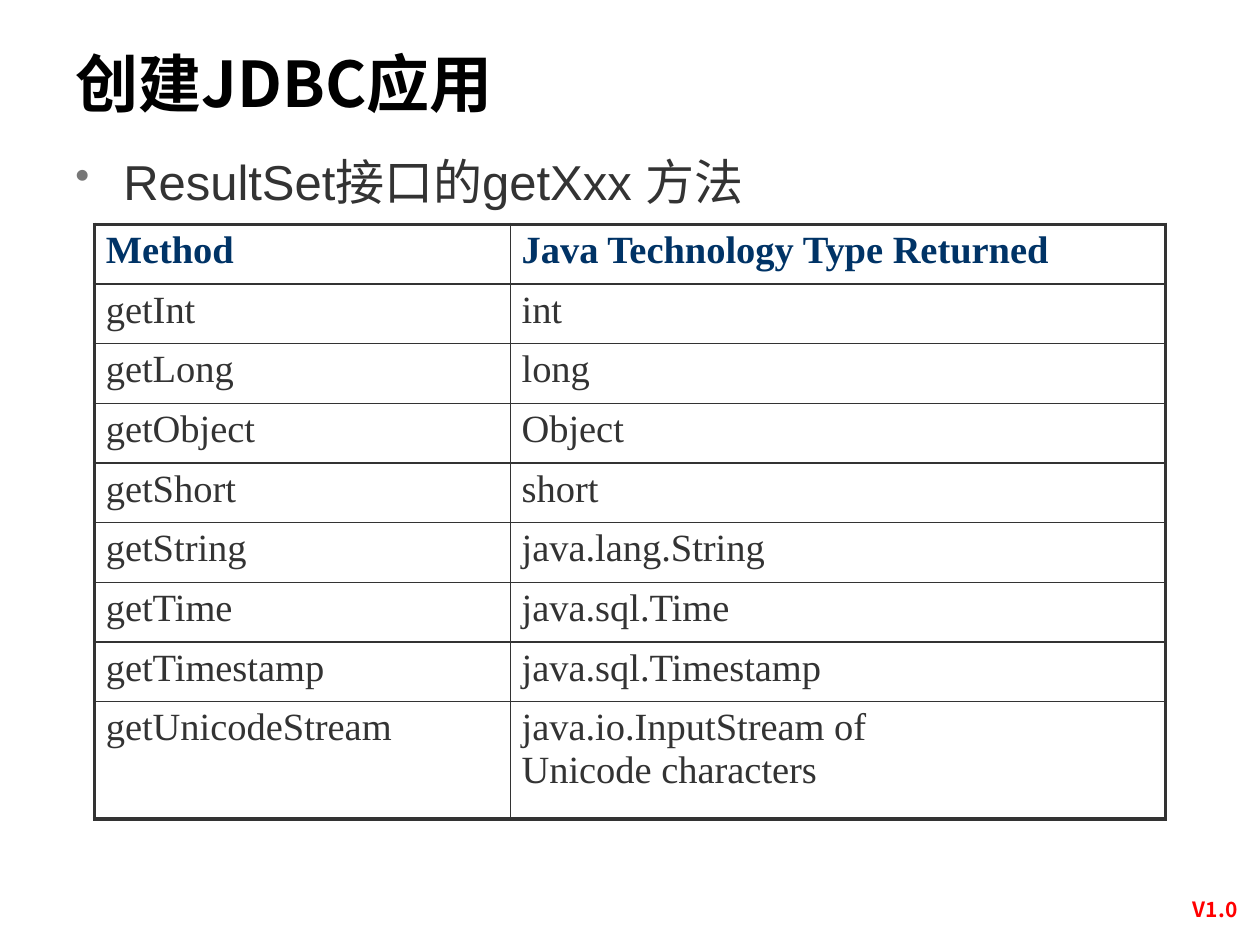
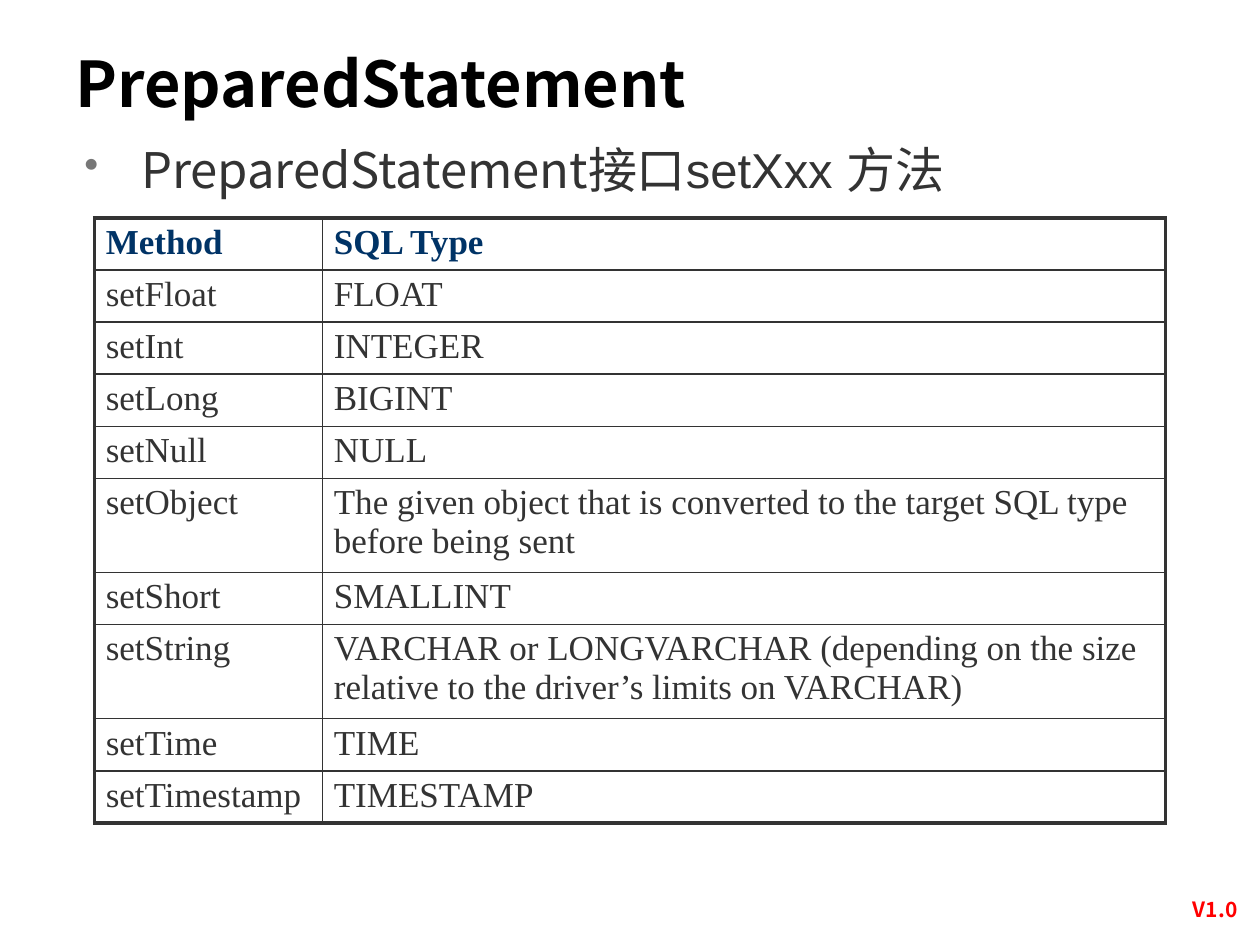
from dataclasses import dataclass

from lxml import etree
from pptx import Presentation
from pptx.dml.color import RGBColor
from pptx.enum.text import MSO_ANCHOR, PP_ALIGN
from pptx.oxml.ns import qn
from pptx.util import Inches, Pt

TOP, LEFT, CENTER = MSO_ANCHOR.TOP, PP_ALIGN.LEFT, PP_ALIGN.CENTER
TITLE_ONLY = 5


@dataclass(frozen=True)
class Theme:
    sans: str = "Noto Sans CJK SC"
    latin: str = "Arial"
    serif: str = "Times New Roman"
    title: str = "000000"
    body: str = "333333"
    bullet: str = "777777"
    header: str = "003366"
    version: str = "FF0000"
    title_size: int = 36
    body_size: int = 28
    version_size: int = 12
    outer_border: float = 2.25
    inner_border: float = 1


THEME = Theme()
VERSION = "V1.0"

# row_heights maps a row's number of text lines to its least height.
SLIDES = [
    {
        "title": "创建JDBC应用",
        "point": [("ResultSet接口的getXxx 方法", THEME.latin)],
        "point_box": (0.5, 1.15, 8.91, 5.43),
        "point_insets": (0.1, 0.05),
        "point_indent": 0.38,
        "table_top": 1.78,
        "table_height": 4.72,
        "columns": (3.3, 5.2),
        "row_heights": {1: (4.72 - 0.93) / 8, 2: 0.93},
        "table_size": 22,
        "methods": [
            ("Method", "Java Technology Type Returned"),
            ("getInt", "int"),
            ("getLong", "long"),
            ("getObject", "Object"),
            ("getShort", "short"),
            ("getString", "java.lang.String"),
            ("getTime", "java.sql.Time"),
            ("getTimestamp", "java.sql.Timestamp"),
            ("getUnicodeStream", "java.io.InputStream of\nUnicode characters"),
        ],
    },
    {
        "title": "PreparedStatement",
        "point": [("PreparedStatement接口", THEME.sans), ("setXxx 方法", THEME.latin)],
        "point_box": (0.59, 1.07, 8.43, 4.51),
        "point_insets": (0.08, 0.04),
        "point_indent": 0.45,
        "table_top": 1.73,
        "table_height": 4.86,
        "columns": (1.81, 6.69),
        "row_heights": {1: 0.21, 2: 0.38},
        "table_size": 20,
        "methods": [
            ("Method", "SQL Type"),
            ("setFloat", "FLOAT"),
            ("setInt", "INTEGER"),
            ("setLong", "BIGINT"),
            ("setNull", "NULL"),
            ("setObject", "The given object that is converted to the target SQL type\n"
                          "before being sent"),
            ("setShort", "SMALLINT"),
            ("setString", "VARCHAR or LONGVARCHAR (depending on the size\n"
                          "relative to the driver’s limits on VARCHAR)"),
            ("setTime", "TIME"),
            ("setTimestamp", "TIMESTAMP"),
        ],
    },
]


def style(font, name, size, color, bold=False):
    font.name, font.size, font.bold = name, Pt(size), bold
    font.color.rgb = RGBColor.from_string(color)


def set_insets(target, across, down):
    target.margin_left = target.margin_right = Inches(across)
    target.margin_top = target.margin_bottom = Inches(down)


def add_child(parent, tag, **attributes):
    return etree.SubElement(parent, qn(tag), attributes)


def add_version(slide):
    frame = slide.shapes.add_textbox(*map(Inches, (9.25, 7.07, 0.79, 0.3))).text_frame
    frame.word_wrap = True
    line = frame.paragraphs[0]
    line.text, line.alignment = VERSION, CENTER
    style(line.font, THEME.sans, THEME.version_size, THEME.version, True)


def set_title(slide, text):
    title = slide.shapes.title
    title.left, title.top, title.width, title.height = map(Inches, (0.5, 0.3, 9, 0.6))
    frame = title.text_frame
    frame.vertical_anchor, frame.word_wrap = TOP, True
    set_insets(frame, 0.1, 0.05)
    line = frame.paragraphs[0]
    line.text, line.alignment = text, LEFT
    style(line.font, THEME.sans, THEME.title_size, THEME.title, True)


def add_point(slide, content):
    frame = slide.shapes.add_textbox(*map(Inches, content["point_box"])).text_frame
    frame.word_wrap = True
    set_insets(frame, *content["point_insets"])
    point = frame.paragraphs[0]
    indent = Inches(content["point_indent"])
    properties = point._p.get_or_add_pPr()
    properties.set("marL", str(indent))
    properties.set("indent", str(-indent))
    add_child(add_child(properties, "a:buClr"), "a:srgbClr", val=THEME.bullet)
    add_child(properties, "a:buSzPct", val="85000")
    add_child(properties, "a:buChar", char="•")
    for text, font_name in content["point"]:
        run = point.add_run()
        run.text = text
        style(run.font, font_name, THEME.body_size, THEME.body)


def set_borders(cell, outer_sides):
    """Draw all four sides, heavier where the cell meets the table's edge."""
    properties = cell._tc.get_or_add_tcPr()
    for side in "LRTB":
        width = THEME.outer_border if side in outer_sides else THEME.inner_border
        line = add_child(properties, f"a:ln{side}", w=str(Pt(width)))
        add_child(add_child(line, "a:solidFill"), "a:srgbClr", val=THEME.body)


def add_methods(slide, content):
    methods, columns = content["methods"], content["columns"]
    height = Inches(content["table_height"])
    holder = slide.shapes.add_table(
        len(methods), len(columns), Inches(0.75), Inches(content["table_top"]),
        Inches(sum(columns)), height)
    table = holder.table
    table.first_row = table.horz_banding = False
    for column, width in zip(table.columns, columns):
        column.width = Inches(width)
    for r, texts in enumerate(methods):
        line_count = 1 + texts[1].count("\n")
        table.rows[r].height = Inches(content["row_heights"][line_count])
        for c, text in enumerate(texts):
            cell = table.cell(r, c)
            cell.text = text
            set_insets(cell, 0.09, 0.04)
            edges = "LR"[c] + "T" * (r == 0) + "B" * (r == len(methods) - 1)
            set_borders(cell, edges)
            cell.fill.background()
            for line in cell.text_frame.paragraphs:
                style(line.font, THEME.serif, content["table_size"],
                      THEME.body if r else THEME.header, r == 0)
    holder.height = height


def main():
    deck = Presentation()
    deck.slide_width, deck.slide_height = Inches(10), Inches(7.5)
    for content in SLIDES:
        slide = deck.slides.add_slide(deck.slide_layouts[TITLE_ONLY])
        add_version(slide)
        set_title(slide, content["title"])
        add_methods(slide, content)
        add_point(slide, content)
    deck.save("out.pptx")


if __name__ == "__main__":
    main()
